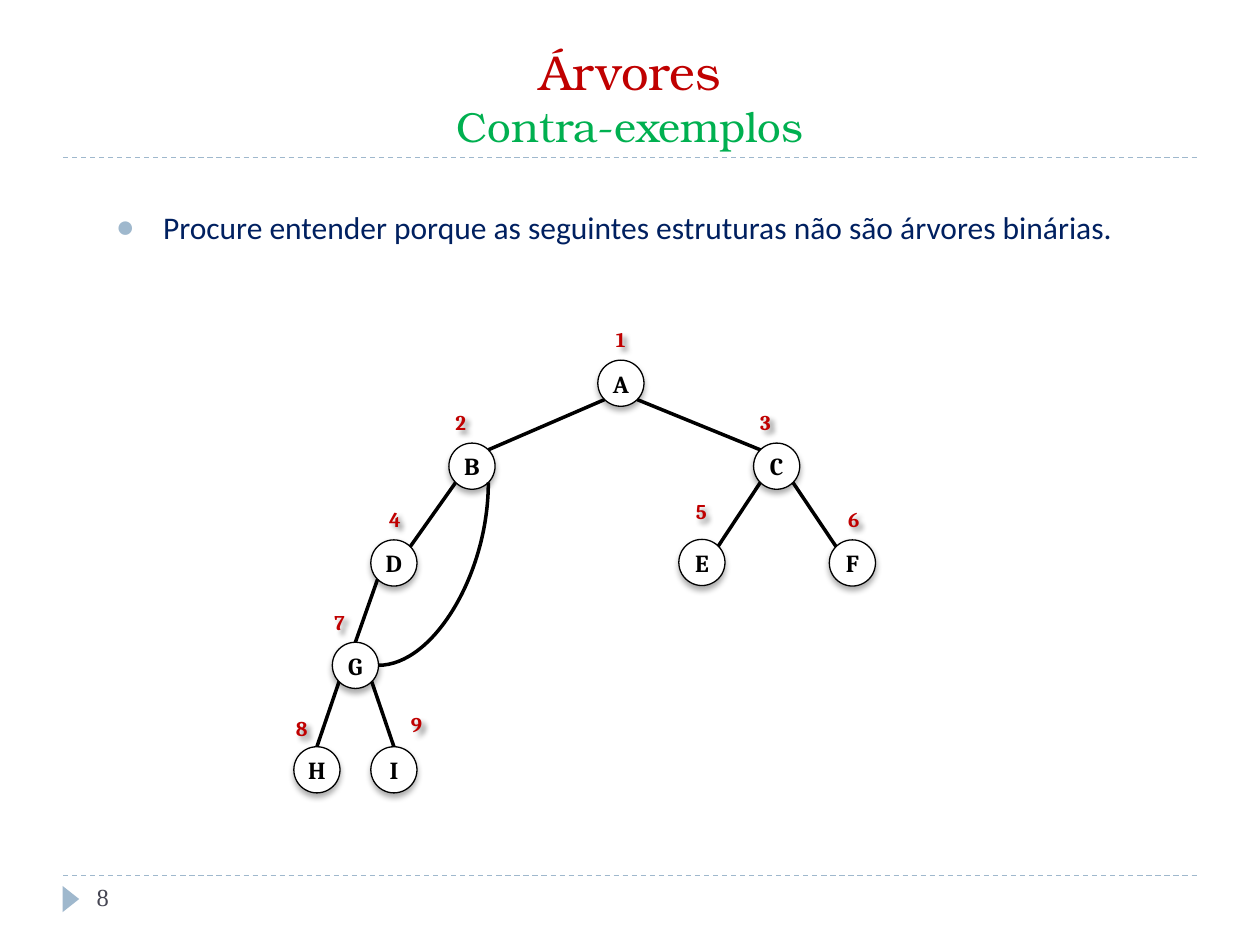
from math import cos, radians, sin

from lxml import etree
from pptx import Presentation
from pptx.dml.color import RGBColor
from pptx.enum.dml import MSO_LINE
from pptx.enum.shapes import MSO_CONNECTOR, MSO_SHAPE
from pptx.enum.text import MSO_ANCHOR, MSO_AUTO_SIZE, PP_ALIGN
from pptx.oxml.ns import qn
from pptx.util import Pt

STRAIGHT, CURVE = MSO_CONNECTOR.STRAIGHT, MSO_CONNECTOR.CURVE
OVAL, TRIANGLE = MSO_SHAPE.OVAL, MSO_SHAPE.ISOSCELES_TRIANGLE
DASH = MSO_LINE.DASH
LEFT, CENTER, JUSTIFY = PP_ALIGN.LEFT, PP_ALIGN.CENTER, PP_ALIGN.JUSTIFY
TOP, MIDDLE, BOTTOM = MSO_ANCHOR.TOP, MSO_ANCHOR.MIDDLE, MSO_ANCHOR.BOTTOM

BLACK, WHITE, RED, GREEN = "000000", "FFFFFF", "C00000", "00B050"
NAVY, STEEL, SLATE = "002060", "9FB8CD", "464653"
RADIUS = 13.2
LABEL_WIDTH, LABEL_HEIGHT = 29.5, 21.6

# letter: node centre, number, number centre
NODES = {
    "A": ((354.8, 219), "1", (354.6, 193.7)),
    "B": ((269.7, 266.4), "2", (263.2, 241.2)),
    "C": ((443.8, 266.4), "3", (437.4, 241.2)),
    "D": ((225.1, 321.7), "4", (225.7, 296.6)),
    "E": ((401.1, 321.4), "5", (400.7, 292.3)),
    "F": ((487.1, 321.7), "6", (487.8, 296.6)),
    "G": ((203.1, 380.2), "7", (194, 355.7)),
    "H": ((181.1, 439.9), "8", (172.4, 416.2)),
    "I": ((225.1, 439.9), "9", (238, 414)),
}
# Connection sites of an ellipse, counted anticlockwise from its top
N, NW, W, SW, S, SE, E, NE = range(8)
EDGES = [
    ("A", SW, "B", NE), ("A", SE, "C", NW), ("B", SW, "D", NE),
    ("C", SW, "E", NE), ("C", SE, "F", NW), ("D", SW, "G", N),
    ("G", SW, "H", N), ("G", SE, "I", N),
]


def color(hex_code):
    return RGBColor.from_string(hex_code)


def add_run(paragraph, text, font, size, fill, bold=False):
    run = paragraph.add_run()
    run.text = text
    run.font.name, run.font.size, run.font.bold = font, Pt(size), bold
    run.font.color.rgb = color(fill)


def write(shape, text, align=LEFT, anchor=TOP, inset=True, **run_format):
    """Set the frame of a shape and its first run; return the paragraph."""
    frame = shape.text_frame
    frame.word_wrap = True
    frame.auto_size = MSO_AUTO_SIZE.NONE
    frame.vertical_anchor = anchor
    frame.margin_left = frame.margin_right = Pt(7.2 if inset else 0)
    frame.margin_top = frame.margin_bottom = Pt(3.6 if inset else 0)
    paragraph = frame.paragraphs[0]
    paragraph.alignment = align
    paragraph.space_before = Pt(0)
    add_run(paragraph, text, **run_format)
    return paragraph


def place(shape, left, top, width, height):
    shape.left, shape.top = Pt(left), Pt(top)
    shape.width, shape.height = Pt(width), Pt(height)


def add_shadow(shape, blur, distance, angle, opacity):
    shape.shadow.inherit = False
    effects = shape._element.spPr.find(qn("a:effectLst"))
    shadow = etree.SubElement(
        effects, qn("a:outerShdw"), blurRad=str(Pt(blur)),
        dist=str(Pt(distance)), dir=str(angle * 60000), rotWithShape="0")
    tint = etree.SubElement(shadow, qn("a:srgbClr"), val=BLACK)
    etree.SubElement(tint, qn("a:alpha"), val=str(opacity * 1000))


def add_line(shapes, start, end, stroke, width, kind=STRAIGHT):
    line = shapes.add_connector(kind, *map(Pt, start + end))
    line.line.color.rgb = color(stroke)
    line.line.width = Pt(width)
    etree.SubElement(line._element.spPr, qn("a:effectLst"))
    return line


def add_node(shapes, letter, center):
    x, y = center
    node = shapes.add_shape(OVAL, Pt(x - RADIUS), Pt(y - RADIUS),
                            Pt(2 * RADIUS), Pt(2 * RADIUS))
    node.fill.solid()
    node.fill.fore_color.rgb = color(WHITE)
    node.line.color.rgb = color(BLACK)
    node.line.width = Pt(0.75)
    add_shadow(node, 3.5, 2.2, 90, 32)
    write(node, letter, align=CENTER, anchor=MIDDLE, inset=False,
          font="Cambria", size=14, fill=BLACK, bold=True)
    return node


def add_number(shapes, number, center):
    x, y = center
    label = shapes.add_textbox(
        Pt(x - LABEL_WIDTH / 2), Pt(y - LABEL_HEIGHT / 2),
        Pt(LABEL_WIDTH), Pt(LABEL_HEIGHT))
    add_shadow(label, 3, 3, 45, 43)
    write(label, number, align=CENTER, anchor=MIDDLE,
          font="Cambria", size=12, fill=RED, bold=True)


def site_point(letter, site):
    x, y = NODES[letter][0]
    angle = radians(90 + 45 * site)
    return x + RADIUS * cos(angle), y - RADIUS * sin(angle)


def add_edge(shapes, nodes, parent, parent_site, child, child_site,
             kind=STRAIGHT):
    """Draw an edge and attach both its ends to the nodes."""
    edge = add_line(shapes, site_point(parent, parent_site),
                    site_point(child, child_site), BLACK, 2, kind)
    links = edge._element.nvCxnSpPr.cNvCxnSpPr
    for tag, letter, site in (("a:stCxn", parent, parent_site),
                              ("a:endCxn", child, child_site)):
        etree.SubElement(links, qn(tag), id=str(nodes[letter].shape_id),
                         idx=str(site))
    return edge


def add_tree(slide):
    shapes = slide.shapes.add_group_shape().shapes
    nodes = {}
    for letter, (center, number, number_center) in NODES.items():
        nodes[letter] = add_node(shapes, letter, center)
        add_number(shapes, number, number_center)
    for edge in EDGES:
        add_edge(shapes, nodes, *edge)
    extra_edge = add_edge(shapes, nodes, "G", E, "B", SE, CURVE)
    geometry = extra_edge._element.spPr.find(qn("a:prstGeom"))
    geometry.set("prst", "curvedConnector2")


def add_frame(slide):
    """Draw the dashed rules, the page marker and the page number."""
    for y in (90, 500.4):
        rule = add_line(slide.shapes, (36, y), (684, y), STEEL, 0.75)
        rule.line.dash_style = DASH
    marker = slide.shapes.add_shape(TRIANGLE, Pt(33), Pt(509), Pt(15), Pt(9.5))
    marker.rotation = 90
    marker.shadow.inherit = False
    marker.fill.solid()
    marker.fill.fore_color.rgb = color(STEEL)
    marker.line.fill.background()
    page_number = slide.shapes.add_textbox(Pt(48.2), Pt(500.4), Pt(156), Pt(29))
    write(page_number, "8", font="Times New Roman", size=14, fill=SLATE)


def fill_title(title):
    place(title, 36, 18, 648, 72)
    heading = write(title, "Árvores", align=CENTER, anchor=BOTTOM,
                    font="TeX Gyre Bonum", size=28, fill=RED)
    heading.add_line_break()
    etree.SubElement(heading._p[-1], qn("a:rPr"), sz="2800")
    add_run(heading, "Contra-exemplos", "TeX Gyre Bonum", 24, GREEN)


def fill_body(body):
    place(body, 59, 115.2, 612, 57)
    item = write(
        body, "Procure entender porque as seguintes estruturas "
        "não são árvores binárias.",
        align=JUSTIFY, font="Calibri", size=18, fill=NAVY)
    properties = item._p.get_or_add_pPr()
    properties.set("marL", str(Pt(27)))
    properties.set("indent", str(Pt(-27)))
    bullet_color = etree.SubElement(properties, qn("a:buClr"))
    etree.SubElement(bullet_color, qn("a:srgbClr"), val=STEEL)
    etree.SubElement(properties, qn("a:buChar"), char="●")


def main():
    presentation = Presentation()
    presentation.slide_width, presentation.slide_height = Pt(720), Pt(540)
    slide = presentation.slides.add_slide(presentation.slide_layouts[1])
    add_frame(slide)
    fill_title(slide.shapes.title)
    fill_body(slide.placeholders[1])
    add_tree(slide)
    presentation.save("out.pptx")


if __name__ == "__main__":
    main()
